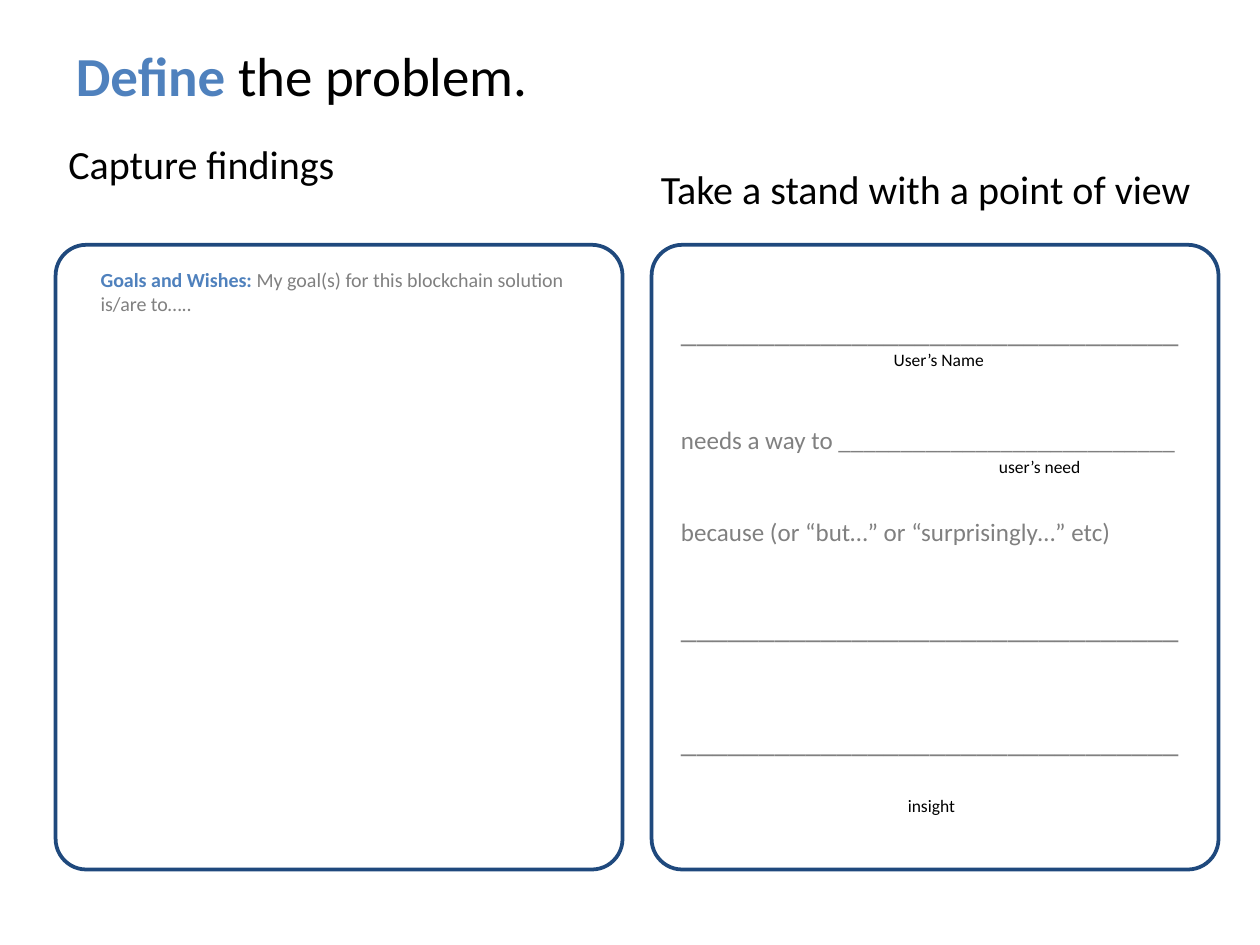
from dataclasses import dataclass

from pptx import Presentation
from pptx.dml.color import RGBColor
from pptx.enum.shapes import MSO_SHAPE
from pptx.enum.text import MSO_ANCHOR
from pptx.util import Cm, Pt


@dataclass(frozen=True)
class Theme:
    """Colours, font and type sizes of the slide."""
    font: str = "Calibri"
    accent: str = "4F81BD"
    outline: str = "1F497D"
    ink: str = "000000"
    prompt: str = "808080"
    title: int = 44
    heading: int = 32
    blank: int = 25
    sentence: int = 20
    goals: int = 16
    label: int = 14


theme = Theme()


def add_text(left, top, width, height, inset=(0.25, 0.13), anchor=MSO_ANCHOR.TOP, wrap=True):
    """Add an empty text box, measured in centimetres, and return its text frame."""
    frame = slide.shapes.add_textbox(Cm(left), Cm(top), Cm(width), Cm(height)).text_frame
    frame.word_wrap = wrap
    frame.vertical_anchor = anchor
    frame.margin_left = frame.margin_right = Cm(inset[0])
    frame.margin_top = frame.margin_bottom = Cm(inset[1])
    return frame


def write(paragraph, size, *runs):
    """Fill a paragraph with (text, colour, bold) runs of one size."""
    paragraph.font.name = theme.font
    paragraph.font.size = Pt(size)
    for text, colour, bold in runs:
        run = paragraph.add_run()
        run.text = text
        run.font.bold = bold
        run.font.color.rgb = RGBColor.from_string(colour)


presentation = Presentation()
presentation.slide_width, presentation.slide_height = Cm(35.56), Cm(26.67)
slide = presentation.slides.add_slide(presentation.slide_layouts[6])

# Two equal panels
for column in range(2):
    panel = slide.shapes.add_shape(
        MSO_SHAPE.ROUNDED_RECTANGLE, Cm(1.57 + column * 16.82), Cm(6.91), Cm(16), Cm(17.63))
    panel.adjustments[0] = 0.054
    panel.shadow.inherit = False
    panel.fill.background()
    panel.line.color.rgb = RGBColor.from_string(theme.outline)
    panel.line.width = Pt(3)

# Title and panel headings
headings = [
    ((1.78, 1.07, 32, 2.06), theme.title,
     [("Define ", theme.accent, True), ("the problem.", theme.ink, False)]),
    ((1.57, 2.74, 16.51, 3.76), theme.heading, [("Capture findings", theme.ink, False)]),
    ((18.29, 3.73, 16.51, 3.18), theme.heading,
     [("Take a stand with a point of view", theme.ink, False)]),
]
for box, size, runs in headings:
    frame = add_text(*box, inset=(0.36, 0.18), anchor=MSO_ANCHOR.MIDDLE)
    write(frame.paragraphs[0], size, *runs)

# Left panel
goals = add_text(2.59, 7.42, 14.2, 1.63)
write(goals.paragraphs[0], theme.goals,
      ("Goals and Wishes: ", theme.accent, True),
      ("My goal(s) for this blockchain solution is/are to\u2026..", theme.prompt, False))

# Right panel: each line with the gap above it in points
blank_line = "_" * 32
statement_lines = [
    (blank_line, theme.blank, 0),
    ("needs a way to " + "_" * 27, theme.sentence, 61),
    ("because (or “but…” or “surprisingly…” etc)", theme.sentence, 49),
    (blank_line, theme.blank, 49),
    (blank_line, theme.blank, 61),
]
statement = add_text(18.97, 8.65, 14.81, 12.87)
for index, (text, size, gap) in enumerate(statement_lines):
    line = statement.add_paragraph() if index else statement.paragraphs[0]
    line.space_before = Pt(gap)
    write(line, size, (text, theme.prompt, False))

# Labels under the blanks
for text, left, top, width in [
    ("User’s Name", 24.97, 9.73, 3.07),
    ("user’s need", 27.94, 12.73, 2.84),
    ("insight", 25.37, 22.3, 1.85),
]:
    label = add_text(left, top, width, 0.86, wrap=False)
    write(label.paragraphs[0], theme.label, (text, theme.ink, False))

presentation.save("out.pptx")
